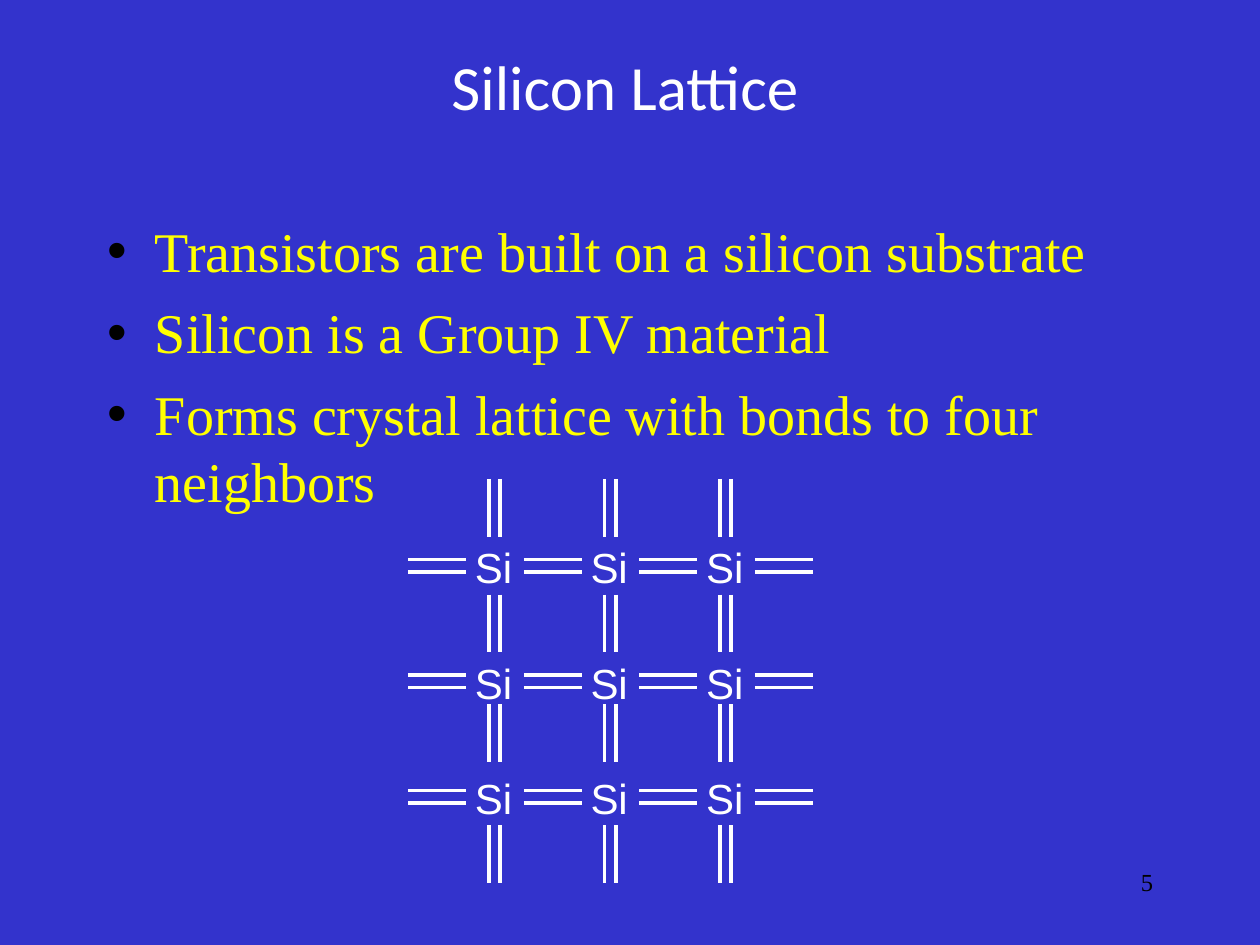
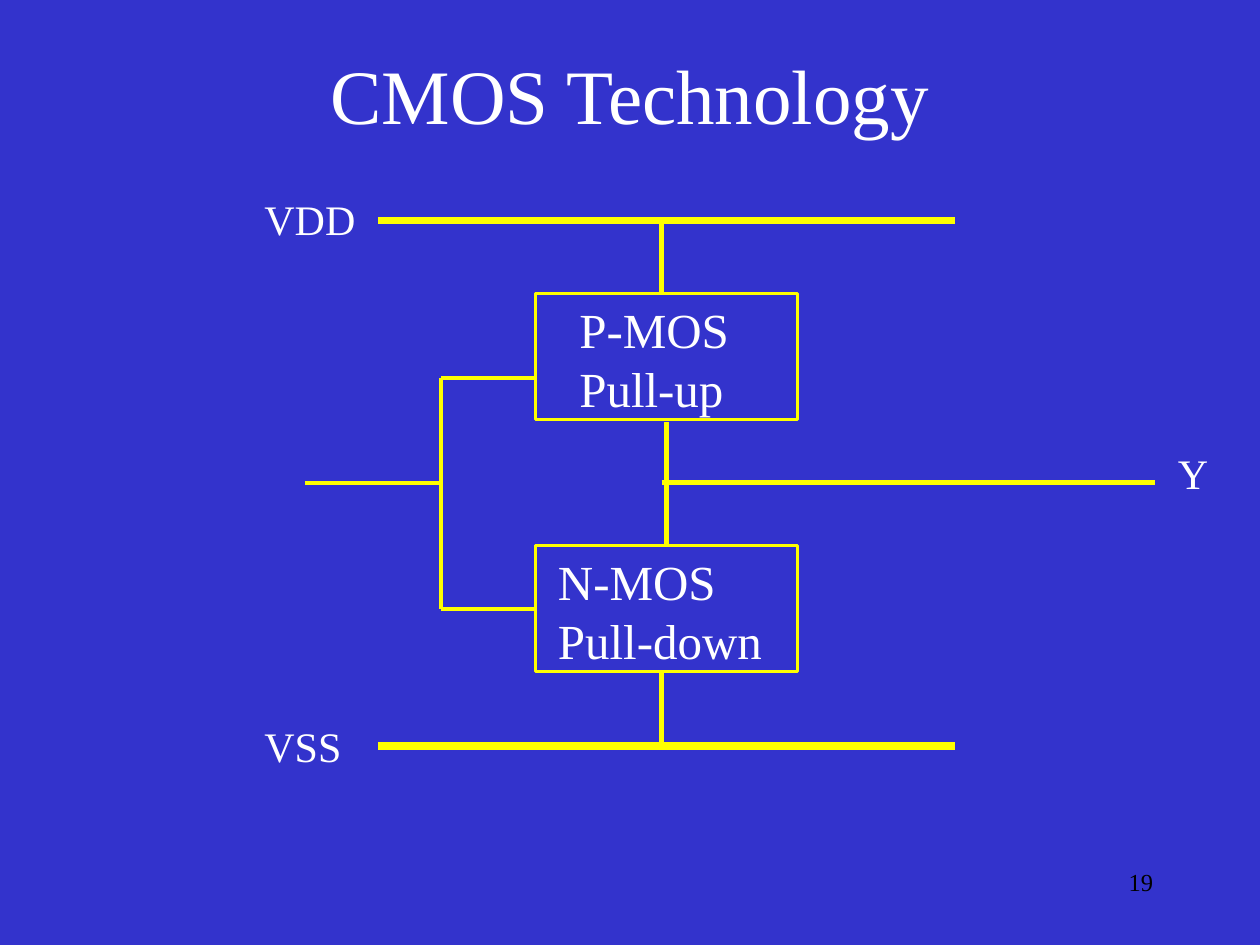
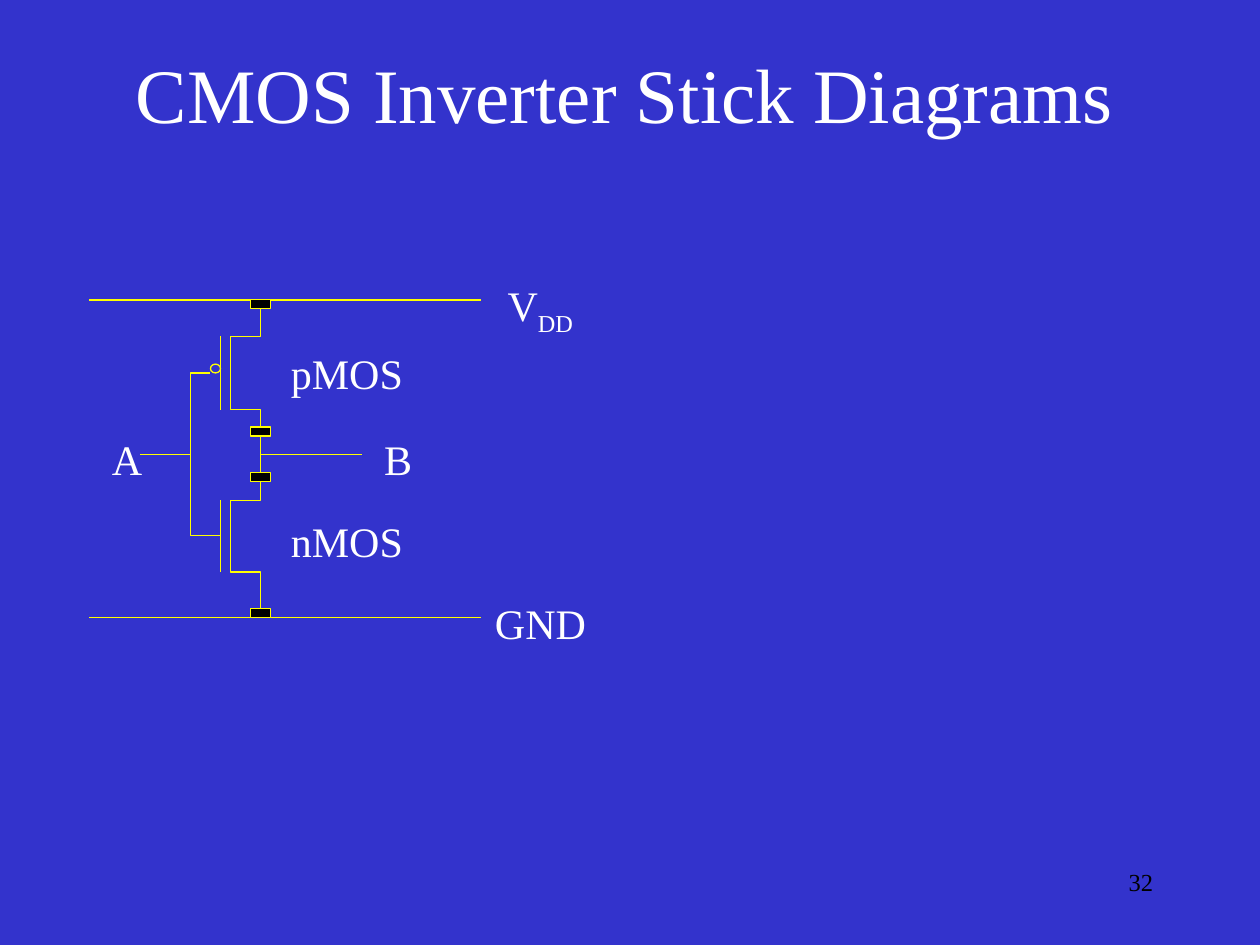
from itertools import pairwise, product

from lxml.etree import SubElement
from pptx import Presentation
from pptx.dml.color import RGBColor
from pptx.enum.shapes import MSO_CONNECTOR, MSO_SHAPE
from pptx.enum.text import MSO_ANCHOR, MSO_AUTO_SIZE, PP_ALIGN
from pptx.oxml.ns import qn
from pptx.util import Inches, Pt

BLUE, WHITE, YELLOW, BLACK = "3333CC", "FFFFFF", "FFFF00", "000000"
SERIF, SANS, TITLE_SANS = "Times New Roman", "Arial", "Calibri"
LAYOUT_CONTENT, LAYOUT_TITLE_ONLY = 1, 5


def color(hex_text):
    return RGBColor.from_string(hex_text)


def set_font(para, size, hex_text=WHITE, name=SERIF):
    para.font.name = name
    para.font.size = Pt(size)
    para.font.color.rgb = color(hex_text)


def place(shape, left, top, width, height):
    shape.left, shape.top = Inches(left), Inches(top)
    shape.width, shape.height = Inches(width), Inches(height)


def add_label(page, text, left, top, width, height=0.5, size=24, hex_text=WHITE,
              name=SERIF, align=PP_ALIGN.LEFT, wrap=True, inset=True):
    """Add a text box with one paragraph per line of text."""
    box = page.shapes.add_textbox(Inches(left), Inches(top), Inches(width), Inches(height))
    frame = box.text_frame
    frame.word_wrap = wrap
    if not inset:
        frame.margin_left = frame.margin_right = frame.margin_top = frame.margin_bottom = 0
    frame.text = text
    for para in frame.paragraphs:
        para.alignment = align
        set_font(para, size, hex_text, name)
    return box


def add_line(page, x1, y1, x2, y2, weight, hex_text=YELLOW):
    line = page.shapes.add_connector(
        MSO_CONNECTOR.STRAIGHT, Inches(x1), Inches(y1), Inches(x2), Inches(y2))
    line.line.color.rgb = color(hex_text)
    line.line.width = Pt(weight)
    SubElement(line._element.spPr, qn("a:effectLst"))


def outline(shape, weight, fill=None):
    """Give a shape a yellow line and an optional fill."""
    shape.shadow.inherit = False
    if fill:
        shape.fill.solid()
        shape.fill.fore_color.rgb = color(fill)
    else:
        shape.fill.background()
    shape.line.color.rgb = color(YELLOW)
    shape.line.width = Pt(weight)


def add_outlined(page, kind, left, top, width, height, weight, fill=None):
    shape = page.shapes.add_shape(
        kind, Inches(left), Inches(top), Inches(width), Inches(height))
    outline(shape, weight, fill)


def add_path(page, points, weight):
    corners = [(Inches(x), Inches(y)) for x, y in points]
    builder = page.shapes.build_freeform(*corners[0])
    builder.add_line_segments(corners[1:], close=False)
    outline(builder.convert_to_shape(), weight)


def add_page(deck, layout, title, number, box, size=44, name=SERIF):
    """Add a slide with its title and page number."""
    page = deck.slides.add_slide(deck.slide_layouts[layout])
    place(page.shapes.title, *box)
    frame = page.shapes.title.text_frame
    frame.text = title
    frame.auto_size = MSO_AUTO_SIZE.NONE
    frame.vertical_anchor = MSO_ANCHOR.TOP
    frame.paragraphs[0].alignment = PP_ALIGN.CENTER
    set_font(frame.paragraphs[0], size, name=name)
    add_label(page, number, 7.17, 6.83, 2.08, size=14, hex_text=BLACK, align=PP_ALIGN.RIGHT)
    return page


def fill_bullets(body, lines, box):
    place(body, *box)
    frame = body.text_frame
    frame.text = "\n".join(lines)
    frame.auto_size = MSO_AUTO_SIZE.NONE
    for index, para in enumerate(frame.paragraphs):
        para.space_before = Pt(8 if index else 0)
        props = para._p.get_or_add_pPr()
        props.set("marL", str(Inches(0.38)))
        props.set("indent", str(-Inches(0.38)))
        bullet_color = SubElement(props, qn("a:buClr"))
        SubElement(bullet_color, qn("a:srgbClr")).set("val", BLACK)
        SubElement(props, qn("a:buChar")).set("char", "•")
        set_font(para, 32, YELLOW)


def draw_lattice(page, left, top, width):
    """Draw a 3 by 3 grid of atoms joined by double bonds."""
    pitch = width / 3.5
    bond = pitch / 2
    for row, column in product(range(3), repeat=2):
        add_label(page, "Si", left + 0.53 + column * pitch, top + 0.5 + row * pitch,
                  0.3, 0.4, name=SANS, wrap=False, inset=False)
    for column, y, strand in product(range(3), (0, 0.92, 1.79, 2.75), (0, 0.09)):
        x = left + 0.64 + column * pitch + strand
        add_line(page, x, top + y, x, top + y + bond, 2.13, WHITE)
    for row, column, strand in product(range(3), range(4), (0, 0.1)):
        x, y = left + column * pitch, top + 0.64 + row * pitch + strand
        add_line(page, x, y, x + bond, y, 2.13, WHITE)


def draw_cmos_blocks(page, left, top):
    """Draw the pull-up and pull-down blocks between the two supply rails."""
    blocks = (("P-MOS\nPull-up", 2.5, 0.84, 1.5), ("N-MOS\nPull-down", 2.33, 2.84, 1.92))
    for text, text_left, y, text_width in blocks:
        add_label(page, text, left + text_left, top + y, text_width, 1.04, size=28)
        add_outlined(page, MSO_SHAPE.RECTANGLE, left + 2.25, top + y, 2.08, 1, 2.25)
    for text, x, y, width in (("VDD", 0, 0, 1), ("VSS", 0, 4.18, 1), ("Y", 7.25, 2.01, 0.5)):
        add_label(page, text, left + x, top + y, width)
    wires = {
        4.5: [(1, 0.26, 5.58, 0.26), (1, 4.43, 5.58, 4.43)],
        3: [(3.25, 0.26, 3.25, 0.85), (3.25, 3.84, 3.25, 4.43),
            (3.29, 1.86, 3.29, 2.83), (3.25, 2.34, 7.17, 2.34)],
        2.25: [(1.5, 1.51, 1.5, 3.34), (1.5, 3.34, 2.25, 3.34),
               (1.5, 1.51, 2.25, 1.51), (0.42, 2.34, 1.5, 2.34)],
    }
    for weight, ends in wires.items():
        for x1, y1, x2, y2 in ends:
            add_line(page, left + x1, top + y1, left + x2, top + y2, weight)


def draw_inverter(page, left, top):
    """Draw the inverter; the top edge of the box is the VDD rail."""
    drain, channel, gate, source = left + 1.36, left + 1.12, left + 1.04, left + 0.8
    ground, middle = top + 2.52, top + 1.23
    transistors = [(top + 0.29, top + 0.87), (top + 1.59, top + 2.16)]
    stick = [(drain, top)]
    for upper, lower in transistors:
        stick += [(drain, upper), (channel, upper), (channel, lower), (drain, lower)]
        add_line(page, gate, upper, gate, lower, 0.75)
    add_path(page, stick + [(drain, ground)], 0.75)
    add_path(page, [(gate, top + 1.87), (source, top + 1.87),
                    (source, top + 0.58), (left + 0.96, top + 0.58)], 0.75)
    for y in (top, ground):
        add_line(page, left, y, left + 3.11, y, 0.75)
    add_line(page, left + 0.4, middle, source, middle, 0.75)
    add_line(page, drain, middle, left + 2.16, middle, 0.75)
    add_outlined(page, MSO_SHAPE.OVAL, left + 0.96, top + 0.51, 0.08, 0.07, 0.75)
    for y in (0, 1.01, 1.37, 2.45):
        add_outlined(page, MSO_SHAPE.RECTANGLE, drain - 0.08, top + y, 0.16, 0.07, 0.75, BLACK)
    labels = (("A", 0.08, 1.01, 0.44), ("B", 2.24, 1.01, 0.42), ("GND", 3.12, 2.31, 0.92),
              ("pMOS", 1.5, 0.33, 1.09), ("nMOS", 1.5, 1.66, 1.09))
    for text, x, y, width in labels:
        add_label(page, text, left + x, top + y, width, wrap=False)
    supply = add_label(page, "V", left + 3.22, top - 0.21, 0.72, 0.56, wrap=False)
    span = supply.text_frame.paragraphs[0].add_run()
    span.text = "DD"
    span.font._element.set("baseline", "-25000")


def main():
    deck = Presentation()
    deck.slide_width, deck.slide_height = Inches(10), Inches(7.5)
    background = deck.slide_master.background.fill
    background.solid()
    background.fore_color.rgb = color(BLUE)

    page = add_page(deck, LAYOUT_CONTENT, "Silicon Lattice", "5",
                    (0.5, 0.33, 8.92, 0.7), 36, TITLE_SANS)
    fill_bullets(page.placeholders[1], [
        "Transistors are built on a silicon substrate",
        "Silicon is a Group IV material",
        "Forms crystal lattice with bonds to four neighbors",
    ], (0.75, 1.67, 8.5, 5))
    draw_lattice(page, 3.24, 3.8, 3.21)

    page = add_page(deck, LAYOUT_TITLE_ONLY, "CMOS Technology", "19", (0.5, 0.33, 9, 0.84))
    draw_cmos_blocks(page, 2, 1.49)

    page = add_page(deck, LAYOUT_TITLE_ONLY, "CMOS Inverter Stick Diagrams", "32",
                    (0.5, 0.32, 8.92, 0.84))
    draw_inverter(page, 0.71, 2.38)

    deck.save("out.pptx")


if __name__ == "__main__":
    main()
